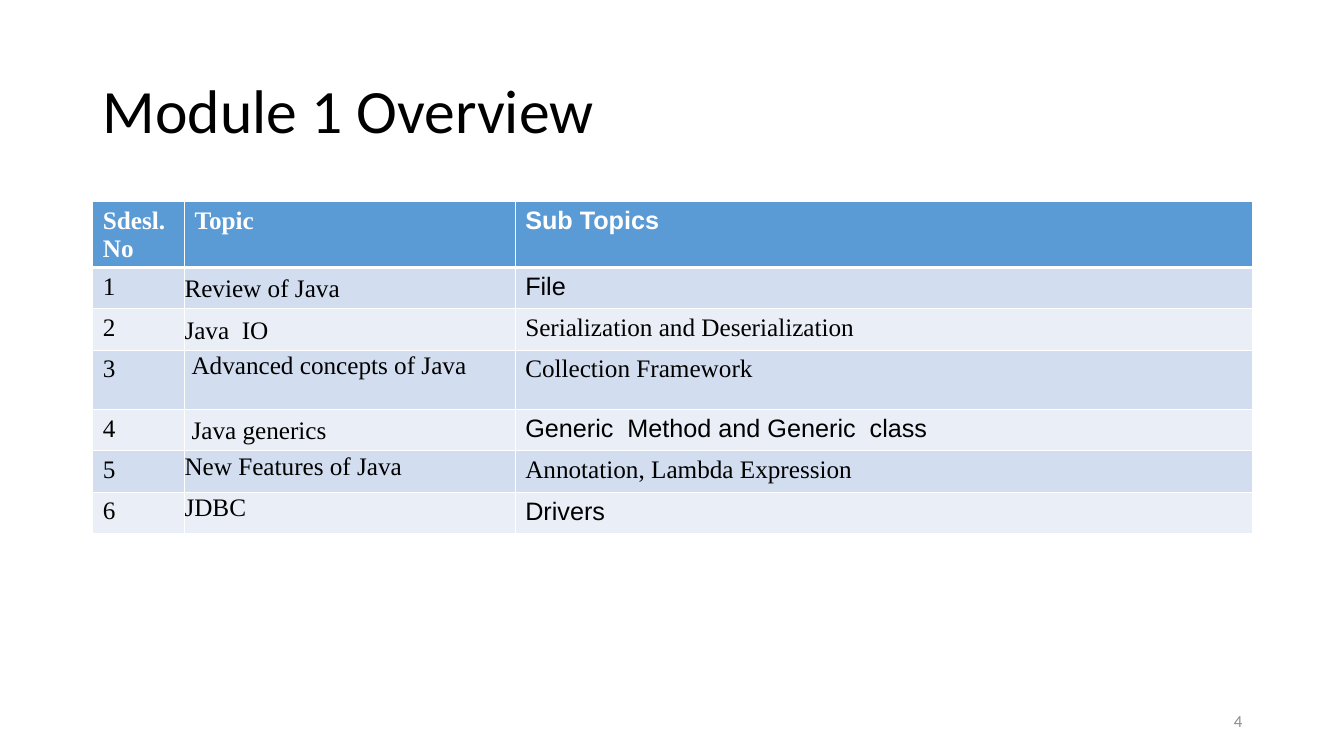
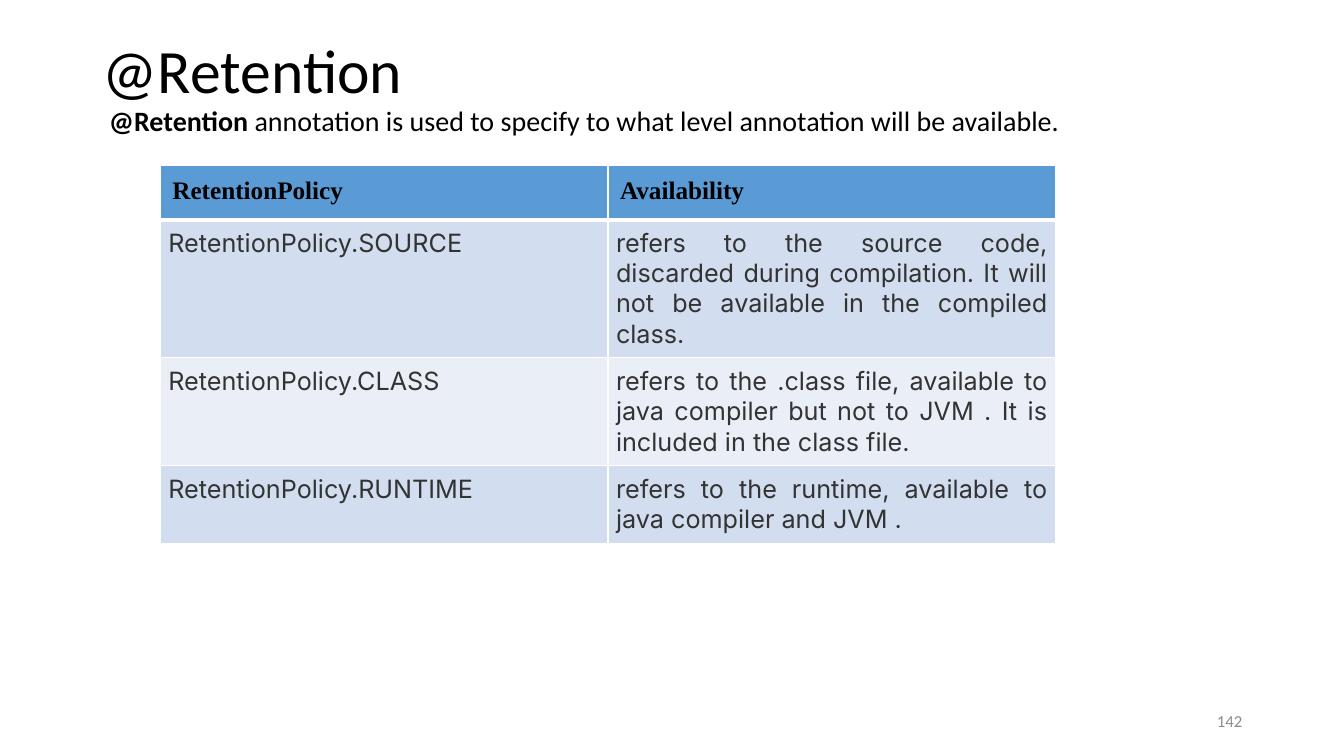
from dataclasses import dataclass, replace

from lxml import etree
from pptx import Presentation
from pptx.dml.color import RGBColor
from pptx.enum.text import MSO_ANCHOR, PP_ALIGN
from pptx.oxml.ns import qn
from pptx.util import Inches, Pt

BLACK = RGBColor(0x00, 0x00, 0x00)
WHITE = RGBColor(0xFF, 0xFF, 0xFF)
CHARCOAL = RGBColor(0x33, 0x33, 0x33)
FOOTER_GREY = RGBColor(0x8C, 0x8C, 0x8C)
HEADER_BLUE = RGBColor(0x5B, 0x9B, 0xD5)
BANDS = (RGBColor(0xD2, 0xDE, 0xEF), RGBColor(0xEA, 0xEF, 0xF7))

SERIF = "Times New Roman"
SANS = "Arial"
BODY = "Calibri"
INTER = "Inter"

LEFT = 0.92
WIDTH = 11.5
THIN, THICK = 1, 3


@dataclass(frozen=True)
class CellStyle:
    font: str = SERIF
    color: RGBColor = BLACK
    bold: bool = False
    align: PP_ALIGN = PP_ALIGN.LEFT
    anchor: MSO_ANCHOR = MSO_ANCHOR.TOP
    insets: tuple = (0.1, 0.05, 0.1, 0.05)
    spacing: float = 1.0


def format_runs(para, font, size, color, bold=False):
    for span in para.runs:
        span.font.name = font
        span.font.size = Pt(size)
        span.font.color.rgb = color
        span.font.bold = bold


def add_title(page, text, top, height):
    box = page.shapes.title
    box.left, box.top = Inches(LEFT), Inches(top)
    box.width, box.height = Inches(WIDTH), Inches(height)
    frame = box.text_frame
    frame.text = text
    frame.vertical_anchor = MSO_ANCHOR.MIDDLE
    para = frame.paragraphs[0]
    para.alignment = PP_ALIGN.LEFT
    para.line_spacing = 0.9
    format_runs(para, BODY, 44, BLACK)


def add_text_box(page, left, top, width, height):
    box = page.shapes.add_textbox(Inches(left), Inches(top), Inches(width), Inches(height))
    box.text_frame.word_wrap = True
    return box.text_frame


def add_page_number(page, number):
    frame = add_text_box(page, 9.42, 6.95, 3, 0.4)
    frame.text = str(number)
    frame.vertical_anchor = MSO_ANCHOR.MIDDLE
    para = frame.paragraphs[0]
    para.alignment = PP_ALIGN.RIGHT
    format_runs(para, BODY, 12, FOOTER_GREY)


def add_lead_sentence(page, term, sentence):
    frame = add_text_box(page, LEFT, 1.02, WIDTH, 0.45)
    frame.margin_left = Inches(0.16)
    para = frame.paragraphs[0]
    para.line_spacing = 0.9
    for text in (term, sentence):
        para.add_run().text = text
    format_runs(para, BODY, 20, BLACK)
    para.runs[0].font.bold = True


def set_borders(cell, top, bottom):
    properties = cell._tc.get_or_add_tcPr()
    widths = {"a:lnL": THIN, "a:lnR": THIN, "a:lnT": top, "a:lnB": bottom}
    for tag, width in widths.items():
        line = etree.SubElement(properties, qn(tag), w=str(Pt(width)))
        fill = etree.SubElement(line, qn("a:solidFill"))
        etree.SubElement(fill, qn("a:srgbClr"), val=str(WHITE))


def fill_cell(cell, text, style, color):
    cell.fill.solid()
    cell.fill.fore_color.rgb = color
    cell.vertical_anchor = style.anchor
    (cell.margin_left, cell.margin_top,
     cell.margin_right, cell.margin_bottom) = map(Inches, style.insets)
    cell.text_frame.text = text
    para = cell.text_frame.paragraphs[0]
    para.alignment = style.align
    para.line_spacing = style.spacing
    format_runs(para, style.font, 18, style.color, style.bold)


def add_banded_table(page, left, top, widths, heights, rows):
    table = page.shapes.add_table(
        len(heights), len(widths), Inches(left), Inches(top),
        Inches(sum(widths)), Inches(sum(heights))).table
    for column, width in zip(table.columns, widths):
        column.width = Inches(width)
    for index, (row, height, content) in enumerate(zip(table.rows, heights, rows)):
        row.height = Inches(height)
        color = BANDS[(index - 1) % 2] if index else HEADER_BLUE
        for cell, (text, style) in zip(row.cells, content):
            set_borders(cell, THICK if index == 1 else THIN, THIN if index else THICK)
            fill_cell(cell, text, style, color)


def build_overview(page):
    add_title(page, "Module 1 Overview", 0.4, 1.45)
    plain = CellStyle()
    arial = CellStyle(font=SANS)
    header = CellStyle(color=WHITE, bold=True)
    topic_top = CellStyle(insets=(0, 0, 0, 0), spacing=1.07)
    topic_middle = replace(topic_top, anchor=MSO_ANCHOR.MIDDLE)
    indent = (0.07, 0, 0, 0)
    topics = [
        ("Review of Java", topic_middle, "File", arial),
        ("Java  IO", topic_middle, "Serialization and Deserialization", plain),
        ("Advanced concepts of Java", replace(topic_top, insets=indent),
         "Collection Framework", plain),
        ("Java generics", replace(topic_middle, insets=indent),
         "Generic  Method and Generic  class", arial),
        ("New Features of Java", topic_top, "Annotation, Lambda Expression", plain),
        ("JDBC", topic_top, "Drivers", arial),
    ]
    rows = [[("Sdesl. No", header), ("Topic", header),
             ("Sub Topics", replace(header, font=SANS))]]
    for number, (topic, topic_style, subtopic, subtopic_style) in enumerate(topics, 1):
        rows.append([(str(number), plain), (topic, topic_style),
                     (subtopic, subtopic_style)])
    add_banded_table(page, LEFT, 2, (0.91, 3.28, 7.31),
                     (0.64, 0.41, 0.41, 0.59, 0.41, 0.41, 0.41), rows)
    add_page_number(page, 4)


def build_retention(page):
    add_title(page, "@Retention", 0.38, 0.69)
    add_lead_sentence(
        page, "@Retention",
        " annotation is used to specify to what level annotation will be available.")
    header = CellStyle(bold=True, insets=(0.12,) * 4)
    body = CellStyle(font=INTER, color=CHARCOAL, align=PP_ALIGN.JUSTIFY,
                     insets=(0.08,) * 4)
    policies = [
        ("SOURCE", "refers to the source code, discarded during compilation. "
                   "It will not be available in the compiled class."),
        ("CLASS", "refers to the .class file, available to java compiler "
                  "but not to JVM . It is included in the class file."),
        ("RUNTIME", "refers to the runtime, available to java compiler and JVM ."),
    ]
    rows = [[("RetentionPolicy", header), ("Availability", header)]]
    for policy, availability in policies:
        rows.append([(f"RetentionPolicy.{policy}", body), (availability, body)])
    add_banded_table(page, 1.59, 1.64, (4.44, 4.44), (0.52, 1.37, 1.07, 0.77), rows)
    add_page_number(page, 142)


def main():
    deck = Presentation()
    deck.slide_width, deck.slide_height = Inches(13.33), Inches(7.5)
    title_only = deck.slide_layouts[5]
    for build in (build_overview, build_retention):
        build(deck.slides.add_slide(title_only))
    deck.save("out.pptx")


if __name__ == "__main__":
    main()
